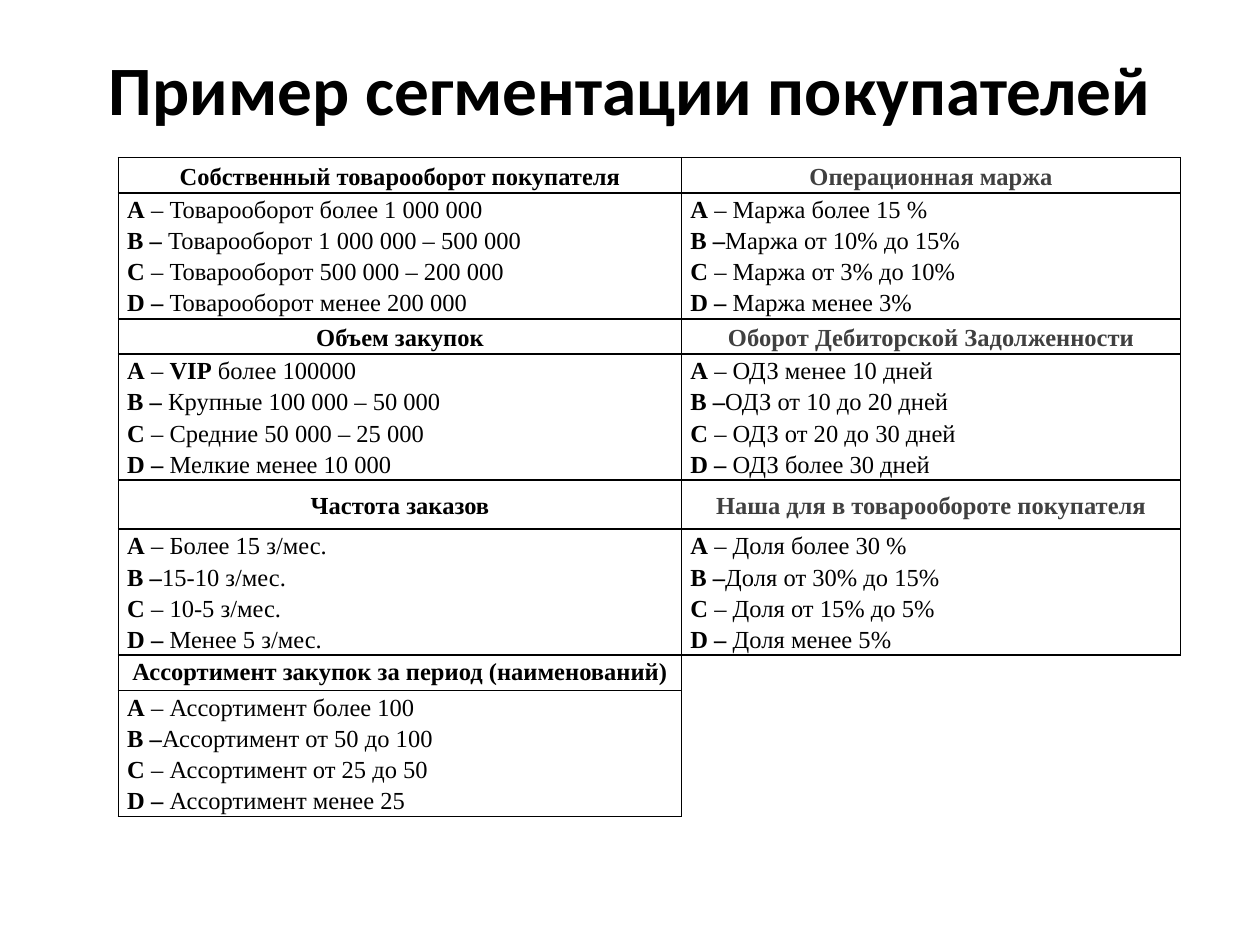
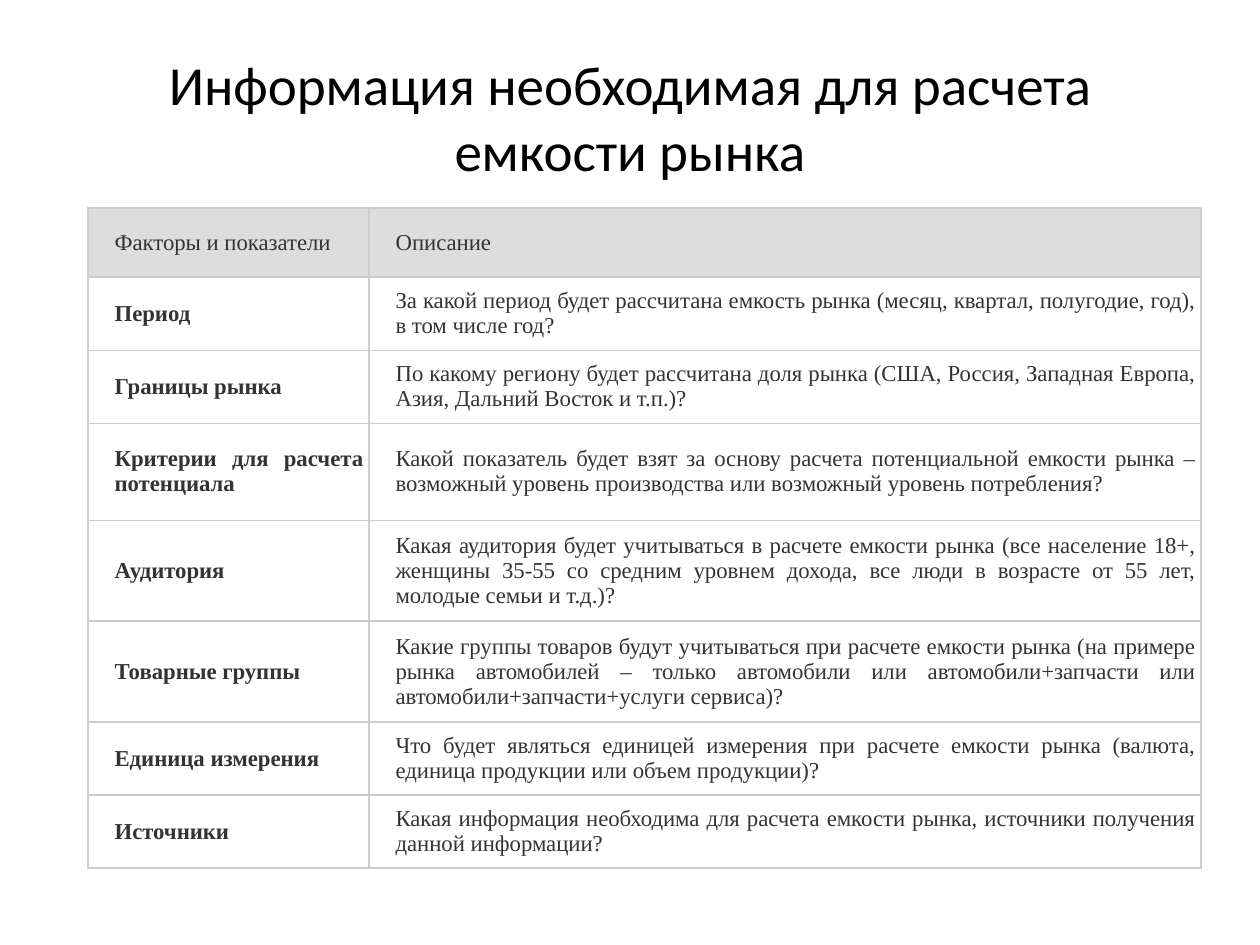
"""Build two slides on customer segmentation and market capacity."""
from lxml import etree
from pptx import Presentation, util as u
from pptx.dml.color import RGBColor
from pptx.enum import text
from pptx.oxml.ns import qn

BLACK, GREY, DARK, BORDER, HEADER_FILL = "000000", "404040", "333333", "CCCCCC", "DDDDDD"
TITLE_FONT, TABLE_FONT = "Calibri", "Times New Roman"
MIDDLE, TOP = text.MSO_ANCHOR.MIDDLE, text.MSO_ANCHOR.TOP
CENTER, JUSTIFY = text.PP_ALIGN.CENTER, text.PP_ALIGN.JUSTIFY


def color(value):
    """Turn a hex string into a colour."""
    return RGBColor.from_string(value)


class Deck:
    """Hold the shared style and the current slide."""

    def __init__(self):
        """Start an empty 4:3 presentation."""
        self.prs = Presentation()
        self.prs.slide_width, self.prs.slide_height = u.Inches(10), u.Inches(7.5)
        self.slide = None

    def new_slide(self, heading, height, size, bold=False):
        """Add a slide with its title."""
        self.slide = self.prs.slides.add_slide(self.prs.slide_layouts[5])
        title = self.slide.shapes.title
        title.left, title.top = u.Inches(0.5), u.Inches(0.3)
        title.width, title.height = u.Inches(9), u.Inches(height)
        frame = title.text_frame
        frame.word_wrap, frame.vertical_anchor = True, MIDDLE
        frame.auto_size = text.MSO_AUTO_SIZE.NONE
        paragraph = frame.paragraphs[0]
        paragraph.alignment = CENTER
        self.run(paragraph, heading, TITLE_FONT, size, BLACK, bold)

    def run(self, paragraph, words, font, size, shade, bold=False):
        """Add one formatted run."""
        run = paragraph.add_run()
        run.text = words
        run.font.name, run.font.size, run.font.bold = font, u.Pt(size), bold
        run.font.color.rgb = color(shade)

    def table(self, left, top, columns, rows):
        """Add a plain table with the given column widths and row heights."""
        frame = self.slide.shapes.add_table(
            len(rows), len(columns), u.Inches(left), u.Inches(top),
            u.Inches(sum(columns)), u.Inches(sum(rows)))
        table = frame.table
        table.first_row = table.horz_banding = False
        for column, width in zip(table.columns, columns):
            column.width = u.Inches(width)
        for row, height in zip(table.rows, rows):
            row.height = u.Inches(height)
        return table

    def cell(self, cell, lines, size, shade, insets, line_color, edges="LRTB",
             align=JUSTIFY, anchor=MIDDLE, fill=None, spacing=None, before=0):
        """Fill one cell with lines whose bold parts stand between asterisks."""
        (cell.margin_left, cell.margin_top,
         cell.margin_right, cell.margin_bottom) = map(u.Inches, insets)
        cell.vertical_anchor = anchor
        for index, line in enumerate(lines):
            frame = cell.text_frame
            paragraph = frame.add_paragraph() if index else frame.paragraphs[0]
            paragraph.alignment = align
            if spacing:
                paragraph.line_spacing = spacing
            if before:
                paragraph.space_before = u.Pt(before)
            for part, words in enumerate(line.split("*")):
                if words:
                    self.run(paragraph, words, TABLE_FONT, size, shade, part % 2 == 1)
        if not lines:
            etree.SubElement(cell.text_frame.paragraphs[0]._p,
                             qn("a:endParaRPr"), sz=str(size * 100))
        if fill:
            cell.fill.solid()
            cell.fill.fore_color.rgb = color(fill)
        else:
            cell.fill.background()
        self.borders(cell, line_color, edges)

    def borders(self, cell, line_color, edges):
        """Draw the named edges of a cell and clear the others."""
        properties = cell._tc.get_or_add_tcPr()
        for position, edge in enumerate("LRTB"):
            line = etree.Element(qn(f"a:ln{edge}"), w=str(u.Pt(1)))
            if edge in edges:
                solid = etree.SubElement(line, qn("a:solidFill"))
                etree.SubElement(solid, qn("a:srgbClr"), val=line_color)
            else:
                etree.SubElement(line, qn("a:noFill"))
            properties.insert(position, line)


OWN_CRITERIA = [
    ("Собственный товарооборот покупателя", 0, MIDDLE,
     ["*А* – Товарооборот более 1 000 000", "*В – *Товарооборот 1 000 000 – 500 000",
      "*C* – Товарооборот 500 000 – 200 000", "*D – *Товарооборот менее 200 000"]),
    ("Объем закупок", 10, MIDDLE,
     ["*А* – *VIP* более 100000", "*В – *Крупные 100 000 – 50 000",
      "*C* – Средние 50 000 – 25 000", "*D –* Мелкие менее 10 000"]),
    ("Частота заказов", 0, MIDDLE,
     ["*А* – Более 15 з/мес.", "*В –*15-10 з/мес.",
      "*C* – 10-5 з/мес.", "*D – *Менее 5 з/мес."]),
    ("Ассортимент закупок за период (наименований)", 10, TOP,
     ["*А* – Ассортимент более 100", "*B –*Ассортимент от 50 до 100",
      "*C* – Ассортимент от 25 до 50", "*D – *Ассортимент менее 25"]),
]
MARGIN_CRITERIA = [
    ("Операционная маржа", 10, MIDDLE,
     ["*А* – Маржа более 15 %", "*B –*Маржа от 10% до 15%",
      "*C* – Маржа от 3% до 10%", "*D – *Маржа менее 3%"]),
    ("Оборот Дебиторской Задолженности", 10, MIDDLE,
     ["*А* – ОДЗ менее 10 дней", "*В –*ОДЗ от 10 до 20 дней",
      "*C* – ОДЗ от 20 до 30 дней", "*D – *ОДЗ более 30 дней"]),
    ("Наша для в товарообороте покупателя", 10, MIDDLE,
     ["*А* – Доля более 30 %", "*B –*Доля от 30% до 15%",
      "*C* – Доля от 15% до 5%", "*D – *Доля менее 5%"]),
]
FACTORS = [
    ("Факторы и показатели", "Описание", 0.55),
    ("*Период*", "За какой период будет рассчитана емкость рынка "
     "(месяц, квартал, полугодие, год), в том числе год?", 0.58),
    ("*Границы рынка*", "По какому региону будет рассчитана доля рынка "
     "(США, Россия, Западная Европа, Азия, Дальний Восток и т.п.)?", 0.58),
    ("*Критерии для расчета потенциала*",
     "Какой показатель будет взят за основу расчета потенциальной емкости рынка – "
     "возможный уровень производства или возможный уровень потребления?", 0.77),
    ("*Аудитория*", "Какая аудитория будет учитываться в расчете емкости рынка "
     "(все население 18+, женщины 35-55 со средним уровнем дохода, "
     "все люди в возрасте от 55 лет, молодые семьи и т.д.)?", 0.8),
    ("*Товарные группы*", "Какие группы товаров будут учитываться при расчете емкости рынка "
     "(на примере рынка автомобилей – только автомобили или автомобили+запчасти "
     "или автомобили+запчасти+услуги сервиса)?", 0.8),
    ("*Единица измерения*", "Что будет являться единицей измерения при расчете емкости рынка "
     "(валюта, единица продукции или объем продукции)?", 0.58),
    ("*Источники*", "Какая информация необходима для расчета емкости рынка, "
     "источники получения данной информации?", 0.58),
]


def segmentation(deck):
    """Build the slide with the customer segments."""
    deck.new_slide("Пример сегментации покупателей", 0.79, 39.6, bold=True)
    heights = [h for heading in (0.28, 0.28, 0.39, 0.28) for h in (heading, 1)]
    segments = deck.table(0.94, 1.25, [4.47, 3.96], heights)
    insets = (0.07, 0, 0.07, 0)
    for column, (criteria, shade) in enumerate([(OWN_CRITERIA, BLACK), (MARGIN_CRITERIA, GREY)]):
        for index, (heading, before, anchor, grades) in enumerate(criteria):
            deck.cell(segments.cell(2 * index, column), [f"*{heading}*"], 14, shade, insets,
                      BLACK, align=CENTER, anchor=anchor, spacing=1.15, before=before)
            deck.cell(segments.cell(2 * index + 1, column), grades, 14, BLACK, insets,
                      BLACK, anchor=TOP, spacing=1.15)
    for row, edges in ((6, "LT"), (7, "L")):
        deck.cell(segments.cell(row, 1), [], 14, BLACK, insets, BLACK, edges)


def market_capacity(deck):
    """Build the slide with the factors of market capacity."""
    deck.new_slide("Информация необходимая для расчета емкости рынка", 1.25, 31.5)
    factors = deck.table(0.7, 1.65, [2.23, 6.6], [height for *_, height in FACTORS])
    for row, (*entries, _) in enumerate(FACTORS):
        for column, entry in enumerate(entries):
            deck.cell(factors.cell(row, column), [entry], 13, DARK, (0.21, 0.05, 0.05, 0.05),
                      BORDER, fill=None if row else HEADER_FILL)


deck = Deck()
segmentation(deck)
market_capacity(deck)
deck.prs.save("out.pptx")
